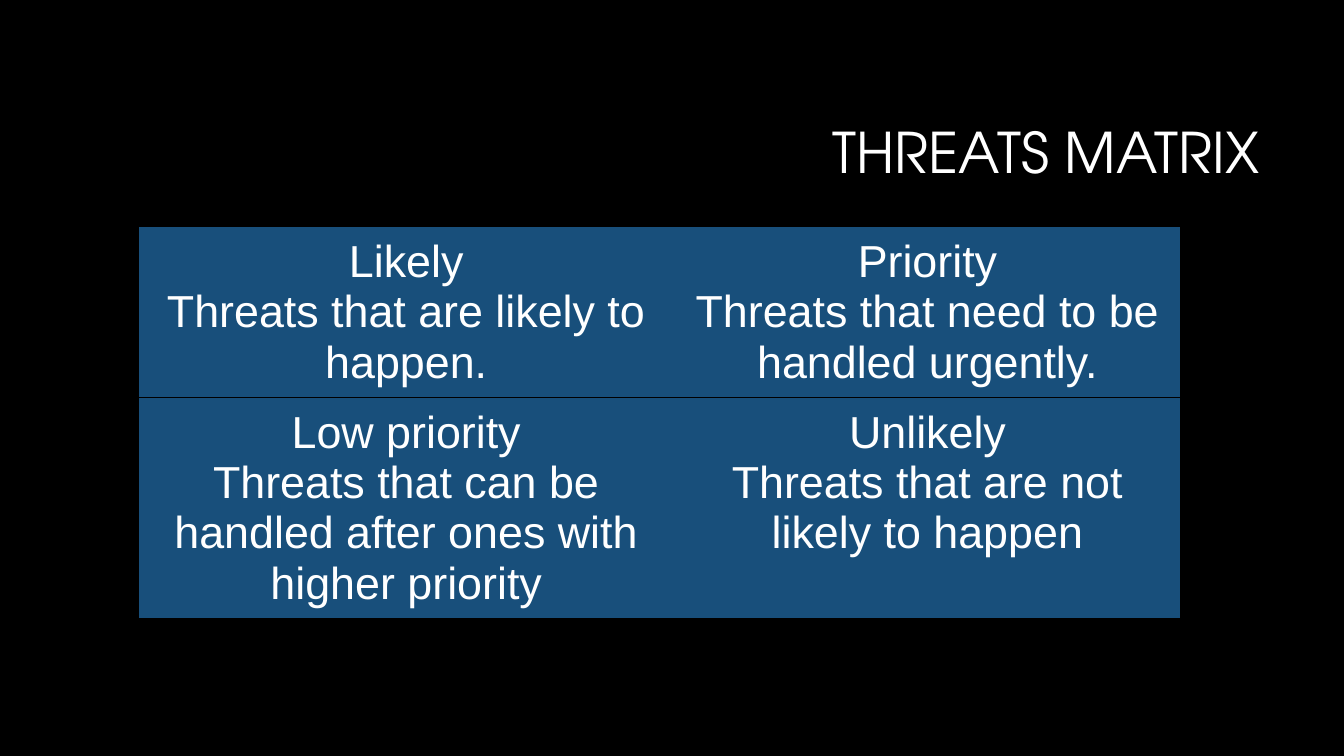
from dataclasses import dataclass

from lxml import etree
from pptx import Presentation
from pptx.dml.color import RGBColor
from pptx.enum.text import MSO_ANCHOR as Anchor, PP_ALIGN as Align
from pptx.oxml.ns import qn
from pptx.util import Inches, Pt


@dataclass(frozen=True)
class Theme:
    background: str = "000000"
    text: str = "FFFFFF"
    cell: str = "184F7B"
    border: str = "000000"
    title_font: str = "TeX Gyre Adventor"
    body_font: str = "Arial"
    title_size: int = 40
    body_size: int = 32
    border_width: int = 1


class SlideBuilder:
    def __init__(self, presentation, theme):
        self.theme = theme
        self.slide = presentation.slides.add_slide(presentation.slide_layouts[5])
        fill = self.slide.background.fill
        fill.solid()
        fill.fore_color.rgb = RGBColor.from_string(theme.background)

    def format_paragraph(self, paragraph, align, font_name, size):
        paragraph.alignment = align
        paragraph.font.name = font_name
        paragraph.font.size = Pt(size)
        paragraph.font.bold = False
        paragraph.font.color.rgb = RGBColor.from_string(self.theme.text)

    def title(self, text, left, top, width, height):
        shape = self.slide.shapes.title
        shape.left, shape.top = Inches(left), Inches(top)
        shape.width, shape.height = Inches(width), Inches(height)
        frame = shape.text_frame
        frame.text = text
        frame.word_wrap = True
        frame.vertical_anchor = Anchor.MIDDLE
        paragraph = frame.paragraphs[0]
        paragraph.line_spacing = 0.9
        self.format_paragraph(paragraph, Align.RIGHT, self.theme.title_font, self.theme.title_size)

    def borders(self, cell, hidden_side):
        properties = cell._tc.get_or_add_tcPr()
        for side in ("L", "R", "T", "B"):
            line = etree.SubElement(properties, qn(f"a:ln{side}"), w=str(Pt(self.theme.border_width)))
            if side == hidden_side:
                etree.SubElement(line, qn("a:noFill"))
            else:
                fill = etree.SubElement(line, qn("a:solidFill"))
                etree.SubElement(fill, qn("a:srgbClr"), val=self.theme.border)

    def cell(self, cell, lines, hidden_side):
        cell.margin_left = cell.margin_right = Inches(0.1)
        cell.margin_top = cell.margin_bottom = Inches(0.1)
        cell.vertical_anchor = Anchor.TOP
        cell.text = "\n".join(lines)
        for paragraph in cell.text_frame.paragraphs:
            self.format_paragraph(paragraph, Align.CENTER, self.theme.body_font, self.theme.body_size)
        self.borders(cell, hidden_side)
        cell.fill.solid()
        cell.fill.fore_color.rgb = RGBColor.from_string(self.theme.cell)

    def matrix(self, rows, left, top, column_widths, row_heights):
        table = self.slide.shapes.add_table(
            len(rows), len(column_widths), Inches(left), Inches(top),
            Inches(sum(column_widths)), Inches(sum(row_heights)),
        ).table
        table.first_row = False
        table.horz_banding = False
        for column, width in zip(table.columns, column_widths):
            column.width = Inches(width)
        for row, height, entries in zip(table.rows, row_heights, rows):
            row.height = Inches(height)
            for cell, lines, hidden_side in zip(row.cells, entries, ("R", "L")):
                self.cell(cell, lines, hidden_side)


def main():
    presentation = Presentation()
    presentation.slide_width = Inches(13.33)
    presentation.slide_height = Inches(7.5)
    builder = SlideBuilder(presentation, Theme())
    builder.title("THREATS MATRIX", 3.17, 0.84, 9.42, 1.41)
    threats = [
        [
            ("Likely", "Threats that are likely to happen."),
            ("Priority", "Threats that need to be handled urgently."),
        ],
        [
            ("Low priority", "Threats that can be handled after ones with higher priority"),
            ("Unlikely", "Threats that are not likely to happen"),
        ],
    ]
    builder.matrix(threats, 1.37, 2.25, (5.32, 5.02), (1.47, 1.93))
    presentation.save("out.pptx")


if __name__ == "__main__":
    main()
